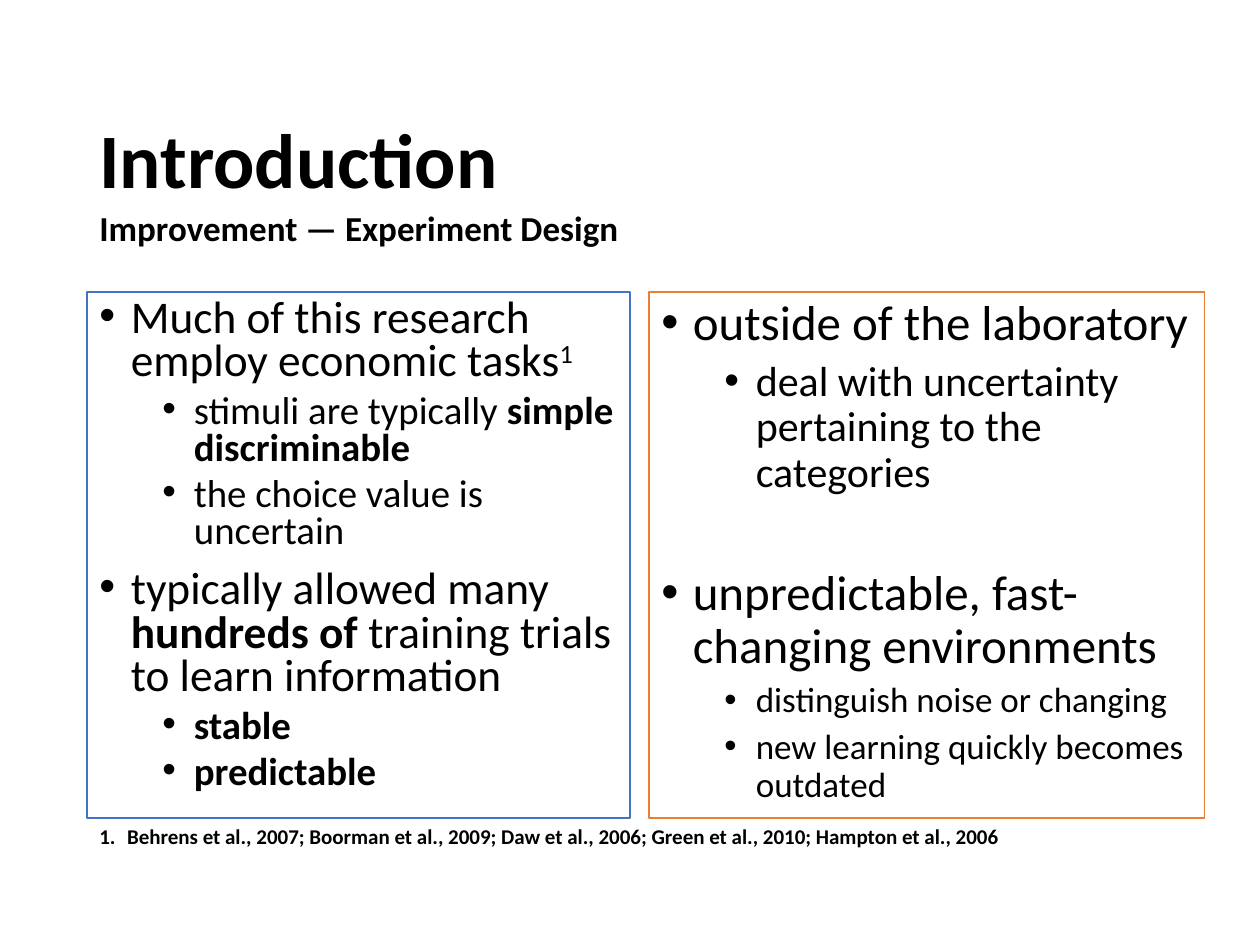
import pptx
import pptx.util
from lxml import etree
from pptx.dml.color import RGBColor
from pptx.enum.shapes import MSO_SHAPE
from pptx.enum.text import MSO_ANCHOR, PP_ALIGN
from pptx.oxml.ns import qn
from pptx.util import Inches, Pt

BLACK = RGBColor(0x00, 0x00, 0x00)
WHITE = RGBColor(0xFF, 0xFF, 0xFF)
BLUE = RGBColor(0x44, 0x72, 0xC4)
ORANGE = RGBColor(0xED, 0x7D, 0x31)

LEFT, WIDE = 0.69, 8.62
TOP, HIGH = 2.32, 4.17


class Deck:
    font = "Calibri"
    hang = 0.25

    def __init__(self):
        self.prs = pptx.Presentation()
        self.prs.slide_width = Inches(10)
        self.prs.slide_height = Inches(7.5)
        self.slide = self.prs.slides.add_slide(self.prs.slide_layouts[6])

    def style(self, run, size, bold=False):
        run.font.name = self.font
        run.font.size = Pt(size)
        run.font.bold = bold
        run.font.color.rgb = BLACK

    def mark(self, para, left, hang, tag, **attrs):
        """Give a paragraph a hanging indent and a bullet or number."""
        props = para._p.get_or_add_pPr()
        props.set("marL", str(Inches(left)))
        props.set("indent", str(-Inches(hang)))
        if tag == "a:buChar":
            etree.SubElement(props, qn("a:buFont"), typeface="Arial")
        etree.SubElement(props, qn(tag), **attrs)

    def text(self, left, top, width, height, words, size, anchor=MSO_ANCHOR.TOP, line=0.9):
        box = self.slide.shapes.add_textbox(
            Inches(left), Inches(top), Inches(width), Inches(height))
        frame = box.text_frame
        frame.word_wrap = True
        frame.vertical_anchor = anchor
        frame.text = words
        para = frame.paragraphs[0]
        para.line_spacing = line
        self.style(para.runs[0], size, True)
        return para

    def panel(self, left, width, color, line, items):
        """Draw a framed list; items are (level, size, space before, parts)."""
        box = self.slide.shapes.add_shape(
            MSO_SHAPE.RECTANGLE, Inches(left), Inches(TOP), Inches(width), Inches(HIGH))
        box.shadow.inherit = False
        box.fill.solid()
        box.fill.fore_color.rgb = WHITE
        box.line.color.rgb = color
        box.line.width = Pt(1)
        frame = box.text_frame
        frame.word_wrap = True
        frame.vertical_anchor = MSO_ANCHOR.TOP
        for i, (level, size, space, parts) in enumerate(items):
            para = frame.add_paragraph() if i else frame.paragraphs[0]
            para.level = level
            para.alignment = PP_ALIGN.LEFT
            para.line_spacing = line
            para.space_before = Pt(space)
            self.mark(para, self.hang + 0.5 * level, self.hang, "a:buChar", char="•")
            for words, kind in parts:
                run = para.add_run()
                run.text = words
                self.style(run, size, kind == "bold")
                if kind == "super":
                    run.font._element.set("baseline", "30000")


def main():
    deck = Deck()
    deck.text(LEFT, 0.57, WIDE, 1.45, "Introduction", 44, MSO_ANCHOR.MIDDLE)
    deck.panel(LEFT, 4.31, BLUE, 0.8, [
        (0, 25.9, 0, [("Much of this research employ economic tasks", ""), ("1", "super")]),
        (1, 22.2, 5, [("stimuli are typically ", ""), ("simple discriminable", "bold")]),
        (1, 22.2, 5, [("the choice value is uncertain", "")]),
        (0, 25.9, 10, [("typically allowed many ", ""), ("hundreds of", "bold"),
                       (" training trials to learn information", "")]),
        (1, 22.2, 5, [("stable", "bold")]),
        (1, 22.2, 5, [("predictable", "bold")]),
    ])
    deck.text(LEFT, 1.63, WIDE, 0.49, "Improvement — Experiment Design", 20)
    note = deck.text(
        LEFT, 6.49, WIDE, 0.91,
        "Behrens et al., 2007; Boorman et al., 2009; Daw et al., 2006; "
        "Green et al., 2010; Hampton et al., 2006", 12, line=1.0)
    deck.mark(note, 0.22, 0.22, "a:buAutoNum", type="arabicPeriod")
    deck.panel(5.15, 4.41, ORANGE, 0.9, [
        (0, 28, 0, [("outside of the laboratory", "")]),
        (1, 24, 5, [("deal with uncertainty pertaining to the categories", "")]),
        (0, 28, 41, [("unpredictable, fast-changing environments", "")]),
        (1, 20, 5, [("distinguish noise or changing", "")]),
        (1, 20, 5, [("new learning quickly becomes outdated", "")]),
    ])
    deck.prs.save("out.pptx")


if __name__ == "__main__":
    main()
